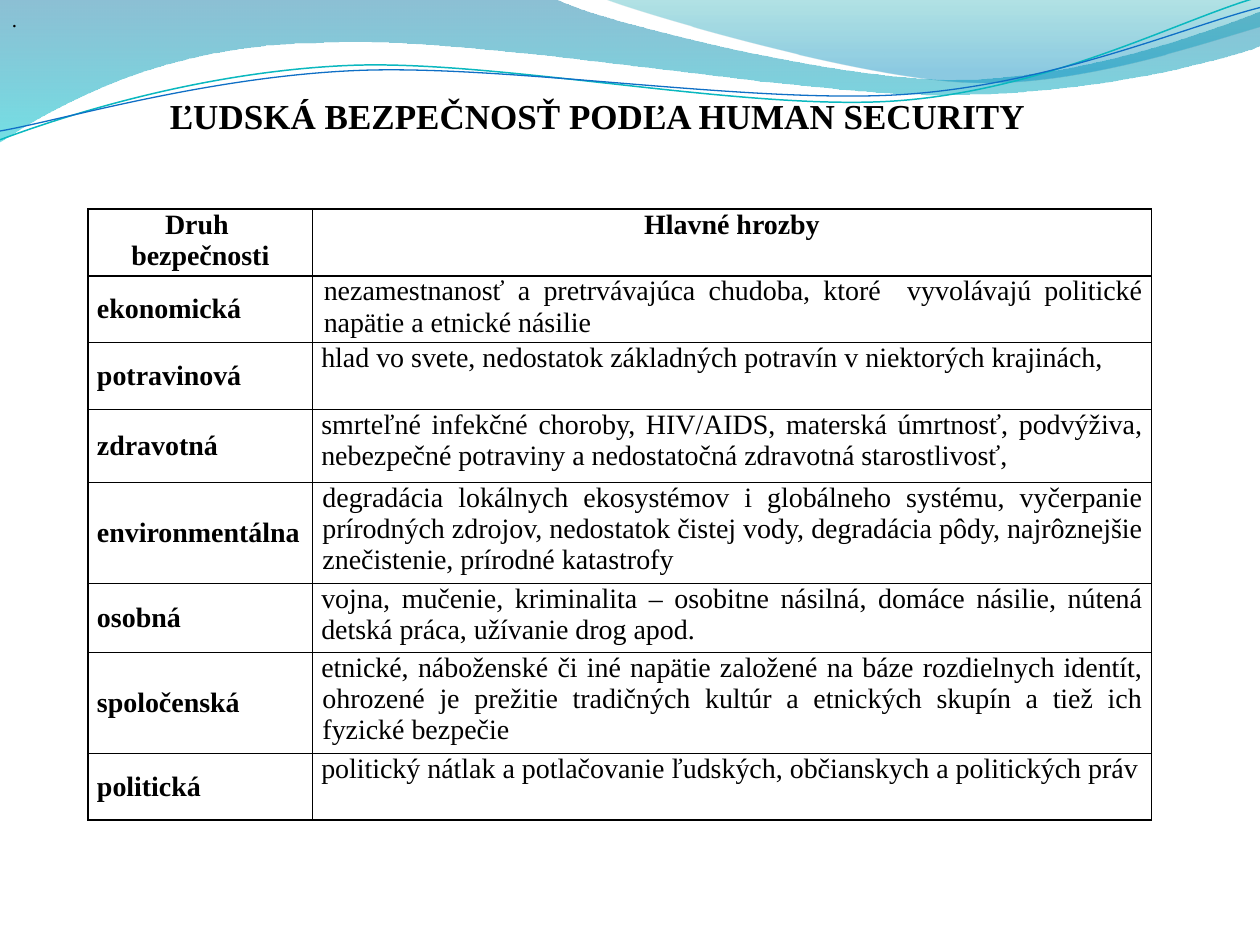
from pptx import Presentation
from pptx.dml.color import RGBColor
from pptx.enum.text import MSO_ANCHOR as ANCHOR, PP_ALIGN as ALIGN
from pptx.oxml import parse_xml
from pptx.oxml.ns import nsdecls
from pptx.util import Inches, Pt

FONT = "Times New Roman"
COLORS = {
    "text": "000000", "border": "000000",
    "wave_top": "0074A1", "wave_bottom": "00C6CF",
    "crest_top": "00A1A9", "crest_bottom": "008BBF",
    "teal_line": "0AB8BF", "blue_line": "0F6FC6",
}


def draw_outline(shapes, outline, closed):
    """Draw points in inches; a triple of points is one Bezier curve."""
    start, *parts = [[Inches(v) for v in part] if not isinstance(part[0], tuple)
                     else [[Inches(v) for v in point] for point in part]
                     for part in outline]
    fb = shapes.build_freeform(*start)
    for part in parts:
        fb.add_line_segments(part if len(part) == 3 else [part], close=False)
    if closed:
        fb.add_line_segments([], close=True)
    sp = fb.convert_to_shape()
    sp.shadow.inherit = False
    # Join the three segments of each curve into one cubic segment
    segments = iter(sp.element.xpath(".//a:lnTo"))
    for part in parts:
        first = next(segments)
        if len(part) == 3:
            curve = parse_xml(f'<a:cubicBezTo {nsdecls("a")}/>')
            first.addprevious(curve)
            for segment in (first, next(segments), next(segments)):
                curve.append(segment[0])
                segment.getparent().remove(segment)
    return sp


def style(p, size, align, bold=False, italic=False):
    p.alignment = align
    p.font.name, p.font.size = FONT, Pt(size)
    p.font.bold, p.font.italic = bold, italic
    p.font.color.rgb = RGBColor.from_string(COLORS["text"])


prs = Presentation()
prs.slide_width, prs.slide_height = Inches(10), Inches(7.5)
s = prs.slides.add_slide(prs.slide_layouts[6])

# Gradient waves: outline, then (position, colour, opacity) stops
waves = [
    ([(0, -0.01), (4.4, -0.01),
      ((4.76, 0.17), (6.64, 0.63), (7.58, 0.63)),
      ((8.53, 0.63), (9.58, 0.26), (10, 0.09)),
      (10.01, 0.36),
      ((9.83, 0.44), (8.7, 0.76), (7.46, 0.75)),
      ((6.22, 0.75), (3.82, 0.28), (2.57, 0.34)),
      ((1.29, 0.35), (0.46, 0.83), (-0.01, 1.13))],
     [(0, "wave_top", 45), (1, "wave_bottom", 55)]),
    ([(4.79, -0.01),
      ((5.09, 0.11), (6.82, 0.62), (7.69, 0.65)),
      ((8.56, 0.69), (9.61, 0.32), (10, 0.21)),
      (10, 0)],
     [(0, "crest_top", 30), (0.8, "crest_bottom", 45)]),
]
for outline, stops in waves:
    sp = draw_outline(s.shapes, outline, True)
    sp.line.fill.background()
    sp.fill.gradient()
    sp.fill.gradient_angle = 270
    for stop, (position, color, _) in zip(sp.fill.gradient_stops, stops):
        stop.position = position
        stop.color.rgb = RGBColor.from_string(COLORS[color])
    for clr, (_, _, opacity) in zip(sp.element.xpath(".//a:gs/a:srgbClr"), stops):
        clr.append(parse_xml(f'<a:alpha {nsdecls("a")} val="{opacity * 1000}"/>'))

# Thin wave lines
wave_lines = [
    ([(0, 1.11),
      ((0.48, 0.93), (1.58, 0.57), (2.77, 0.52)),
      ((3.95, 0.47), (5.93, 0.89), (7.13, 0.8)),
      ((8.33, 0.71), (9.38, 0.15), (9.98, -0.02))], "teal_line", 0.85),
    ([(0, 1.04),
      ((0.47, 0.96), (1.64, 0.61), (2.83, 0.56)),
      ((4.03, 0.51), (5.97, 0.83), (7.17, 0.75)),
      ((8.36, 0.67), (9.41, 0.21), (10, 0.06))], "blue_line", 0.75),
]
for outline, color, width in wave_lines:
    sp = draw_outline(s.shapes, outline, False)
    sp.fill.background()
    sp.line.color.rgb = RGBColor.from_string(COLORS[color])
    sp.line.width = Pt(width)

# Table of threats: kind, threats, row height, left margin, first-line indent
header = ("Druh \nbezpečnosti", "Hlavné hrozby", 0.53, 0, 0)
threats = [
    ("ekonomická", "nezamestnanosť a pretrvávajúca chudoba, ktoré  vyvolávajú politické "
     "napätie a etnické násilie", 0.53, 0.02, 0),
    ("potravinová", "hlad vo svete, nedostatok základných potravín v niektorých krajinách,",
     0.53, 0, 0),
    ("zdravotná", "smrteľné infekčné choroby, HIV/AIDS, materská úmrtnosť, podvýživa, "
     "nebezpečné potraviny a nedostatočná zdravotná starostlivosť,", 0.58, 0, 0),
    ("environmentálna", "degradácia lokálnych ekosystémov i globálneho systému, vyčerpanie "
     "prírodných zdrojov, nedostatok čistej vody, degradácia pôdy, najrôznejšie "
     "znečistenie, prírodné katastrofy", 0.8, 0.01, 0),
    ("osobná", "vojna, mučenie, kriminalita – osobitne násilná, domáce násilie, nútená "
     "detská práca, užívanie drog apod.", 0.55, 0, 0),
    ("spoločenská", "etnické, náboženské či iné napätie založené na báze rozdielnych "
     "identít, ohrozené je prežitie tradičných kultúr a etnických skupín a tiež ich "
     "fyzické bezpečie", 0.8, 0.01, -0.01),
    ("politická", "politický nátlak a potlačovanie ľudských, občianskych a politických práv",
     0.53, 0, 0),
]
rows = [header, *threats]
table = s.shapes.add_table(len(rows), 2, Inches(0.7), Inches(1.66),
                           Inches(8.44), Inches(4.86)).table
table.columns[0].width, table.columns[1].width = Inches(1.78), Inches(6.66)
for i, (kind, threat, height, margin, indent) in enumerate(rows):
    table.rows[i].height = Inches(height)
    for j, text in enumerate((kind, threat)):
        cell = table.cell(i, j)
        cell.margin_left = cell.margin_right = Inches(0.07)
        cell.margin_top = cell.margin_bottom = 0
        cell.vertical_anchor = ANCHOR.MIDDLE if i and not j else ANCHOR.TOP
        cell.text = text
        for p in cell.text_frame.paragraphs:
            style(p, 16, ALIGN.JUSTIFY if i else ALIGN.CENTER, bold=not (i and j))
            if j and margin:
                pPr = p._p.get_or_add_pPr()
                pPr.set("marL", str(Inches(margin)))
                pPr.set("indent", str(Inches(indent)))
        tcPr = cell._tc.get_or_add_tcPr()
        for side in ("lnL", "lnR", "lnT", "lnB"):
            tcPr.append(parse_xml(
                f'<a:{side} {nsdecls("a")} w="{Pt(1)}"><a:solidFill>'
                f'<a:srgbClr val="{COLORS["border"]}"/></a:solidFill></a:{side}>'))
        cell.fill.background()

# Corner dot and title
texts = [
    (".", (0, 0, 9.14, 0.3), 12, ANCHOR.MIDDLE, False),
    ("ĽUDSKÁ BEZPEČNOSŤ PODĽA HUMAN SECURITY", (1.25, 0.7, 7.73, 0.44), 20, ANCHOR.TOP, True),
]
for text, box, size, anchor, bold in texts:
    tf = s.shapes.add_textbox(*map(Inches, box)).text_frame
    tf.word_wrap = True
    tf.vertical_anchor = anchor
    tf.text = text
    style(tf.paragraphs[0], size, ALIGN.JUSTIFY, bold=bold, italic=not bold)

prs.save("out.pptx")
